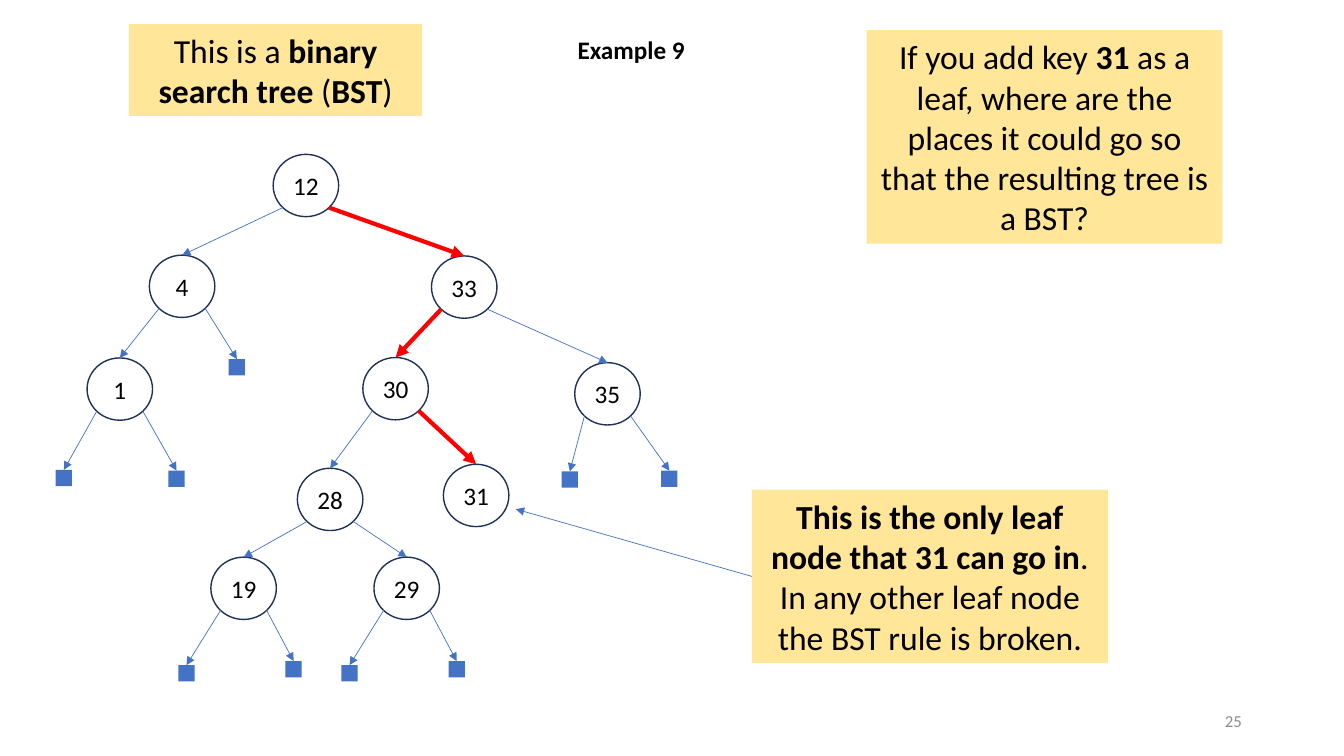
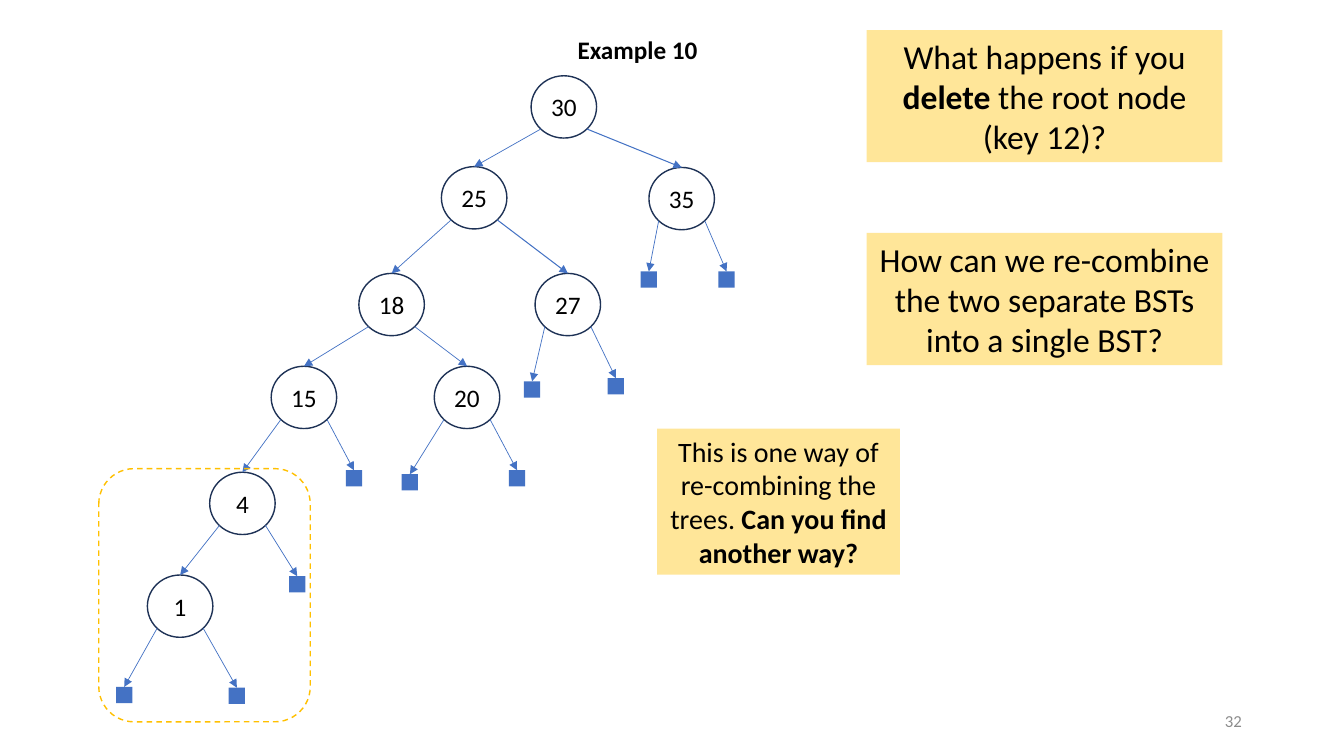
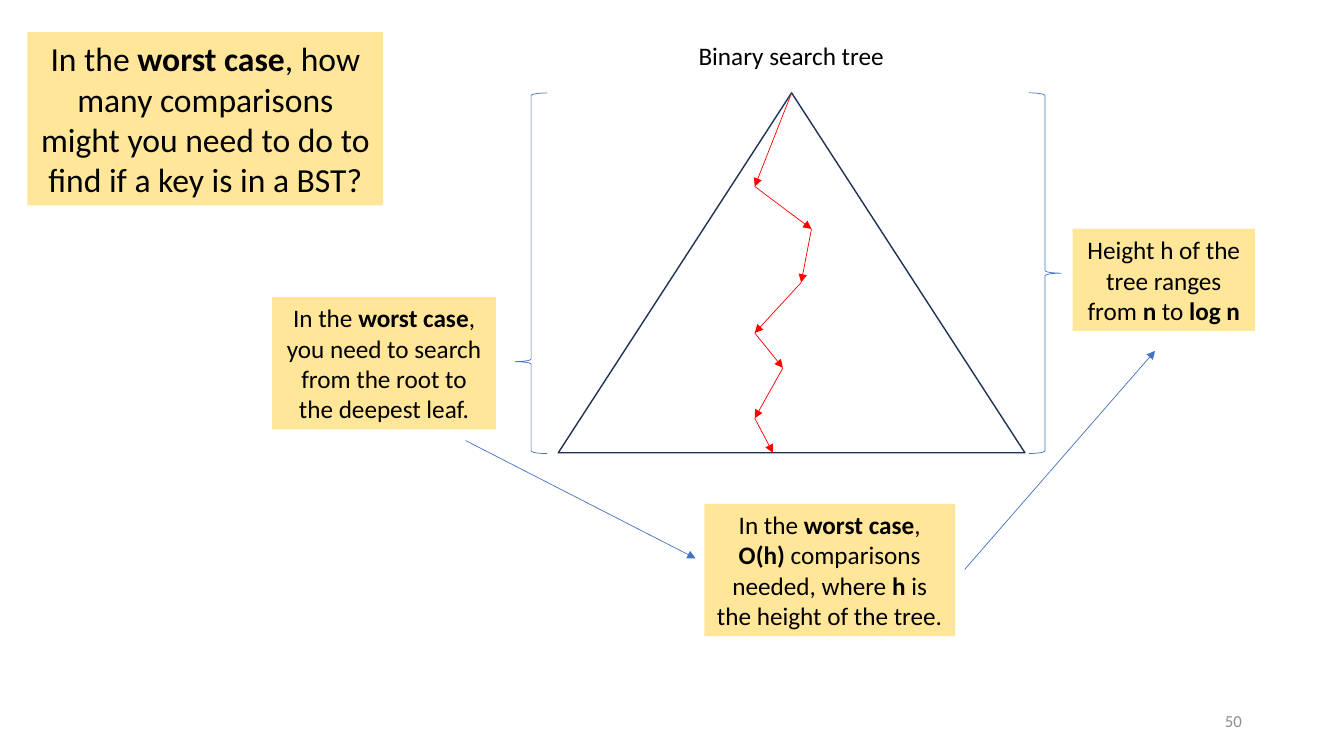
from dataclasses import dataclass
from itertools import pairwise
from typing import NamedTuple, Optional

from lxml.etree import SubElement
from pptx import Presentation
from pptx.dml.color import RGBColor
from pptx.enum.dml import MSO_LINE
from pptx.enum.shapes import MSO_CONNECTOR, MSO_SHAPE as Preset
from pptx.enum.text import MSO_ANCHOR as Anchor, MSO_AUTO_SIZE as AutoSize, PP_ALIGN as Align
from pptx.oxml.ns import qn
from pptx.util import Cm, Pt


@dataclass(frozen=True)
class Theme:
    """Colours, type sizes and measures shared by all slides."""

    font: str = "Calibri"
    ink: str = "000000"
    muted: str = "8C8C8C"
    note: str = "FFE699"
    outline: str = "1E3256"
    blue: str = "4472C4"
    red: str = "FF0000"
    amber: str = "FFC000"
    large: int = 24
    medium: int = 20
    normal: int = 18
    small: int = 12
    thin: float = 0.5
    firm: float = 0.75
    solid: float = 1
    thick: float = 3
    node_width: float = 1.65
    node_height: float = 1.57
    leaf_side: float = 0.41
    edge_dx: float = 0.58
    edge_dy: float = 1.34


THEME = Theme()
EDGES = {
    "plain": (THEME.blue, THEME.thin),
    "firm": (THEME.blue, THEME.firm),
    "route": (THEME.red, THEME.thick),
    "search": (THEME.red, THEME.thin),
}


class Box(NamedTuple):
    """A rectangle in centimetres."""

    left: float
    top: float
    width: float
    height: float

    def lengths(self):
        """Return the four measures as slide lengths."""
        return [Cm(value) for value in self]


@dataclass
class Node:
    """A tree node offset from its parent; one without a key is an empty leaf."""

    dx: float
    dy: float
    key: str = ""
    left: Optional["Node"] = None
    right: Optional["Node"] = None
    edge: str = "plain"


def write(frame, text, size=THEME.normal, color=THEME.ink, align=Align.CENTER,
          anchor=Anchor.MIDDLE, wrap=True, bold=False, inset=None):
    """Write one paragraph, where ** switches bold on and off."""
    frame.auto_size = AutoSize.NONE
    frame.word_wrap = wrap
    frame.vertical_anchor = anchor
    if inset is not None:
        frame.margin_left = frame.margin_right = Cm(inset)
        frame.margin_top = frame.margin_bottom = Cm(inset)
    para = frame.paragraphs[0]
    para.alignment = align
    for index, part in enumerate(text.split("**")):
        if part:
            span = para.add_run()
            span.text = part
            span.font.name = THEME.font
            span.font.size = Pt(size)
            span.font.bold = bold or index % 2 == 1
            span.font.color.rgb = RGBColor.from_string(color)


def add_preset(page, preset, box, fill=None, line=None, width=THEME.solid):
    """Add a preset shape with an optional fill and outline."""
    shape = page.shapes.add_shape(preset, *box.lengths())
    shape.shadow.inherit = False
    if fill:
        shape.fill.solid()
        shape.fill.fore_color.rgb = RGBColor.from_string(fill)
    else:
        shape.fill.background()
    if line:
        shape.line.color.rgb = RGBColor.from_string(line)
        shape.line.width = Pt(width)
    else:
        shape.line.fill.background()
    return shape


def add_arrow(page, start, end, edge="plain"):
    """Draw a straight arrow between two points."""
    arrow = page.shapes.add_connector(
        MSO_CONNECTOR.STRAIGHT, *[Cm(value) for value in (*start, *end)])
    color, width = EDGES[edge]
    arrow.line.color.rgb = RGBColor.from_string(color)
    arrow.line.width = Pt(width)
    properties = arrow.element.spPr
    SubElement(properties.find(qn("a:ln")), qn("a:tailEnd"), type="triangle")
    SubElement(properties, qn("a:effectLst"))
    return arrow


def add_note(page, box, text, size=THEME.large):
    """Add a yellow note with centred text."""
    note = add_preset(page, Preset.RECTANGLE, box, fill=THEME.note)
    write(note.text_frame, text, size=size)
    return note


def add_page(deck, title, box, number, bold=True):
    """Add a slide with its title and page number."""
    page = deck.slides.add_slide(deck.slide_layouts[5])
    heading = page.shapes.title
    heading.left, heading.top, heading.width, heading.height = box.lengths()
    write(heading.text_frame, title, align=Align.LEFT, anchor=Anchor.TOP, wrap=False, bold=bold)
    footer = page.shapes.add_textbox(*Box(23.93, 17.65, 7.62, 1.02).lengths())
    write(footer.text_frame, str(number), size=THEME.small, color=THEME.muted, align=Align.RIGHT)
    return page


def add_tree(page, node, x=0, y=0):
    """Draw a node and its subtrees, measured from the parent's top centre."""
    x, y = x + node.dx, y + node.dy
    if not node.key:
        side = THEME.leaf_side
        return add_preset(page, Preset.RECTANGLE, Box(x - side / 2, y, side, side), fill=THEME.blue)
    box = Box(x - THEME.node_width / 2, y, THEME.node_width, THEME.node_height)
    circle = add_preset(page, Preset.OVAL, box, line=THEME.outline)
    write(circle.text_frame, node.key, inset=0)
    for child, side in ((node.left, -1), (node.right, 1)):
        if child:
            target = add_tree(page, child, x, y)
            start = (x + side * THEME.edge_dx, y + THEME.edge_dy)
            arrow = add_arrow(page, start, (x + child.dx, y + child.dy), child.edge)
            arrow.end_connect(target, 0)
    return circle


def low_node(dx, dy, key, left=None):
    """Return a node with the usual pair of empty leaves, or a given left subtree."""
    return Node(dx, dy, key, left or Node(-1.44, 2.72), Node(1.26, 2.62))


def small_tree(dx, dy):
    """Return the subtree of keys 4 and 1."""
    one = Node(-1.57, 2.59, "1", Node(-1.41, 2.82), Node(1.43, 2.84))
    return Node(dx, dy, "4", one, Node(1.38, 2.62))


def add_search_path(page, box):
    """Draw the tree outline with a zigzag search from root to deepest leaf."""
    add_preset(page, Preset.ISOSCELES_TRIANGLE, box, line=THEME.outline)
    turns = [(box.width / 2, 0), (4.95, 2.36), (6.38, 3.43), (6.12, 4.78),
             (4.95, 6.05), (5.66, 6.93), (4.95, 8.2), (5.41, box.height)]
    points = [(box.left + x, box.top + y) for x, y in turns]
    for start, end in pairwise(points):
        add_arrow(page, start, end, "search")


def add_brace(page, box):
    """Add a thin brace that opens to the left."""
    return add_preset(page, Preset.RIGHT_BRACE, box, line=THEME.blue, width=THEME.thin)


def build_insert_page(deck):
    """Show where key 31 is added."""
    page = add_page(deck, "Example 9", Box(14.3, 0.74, 3.23, 1.02), 25)
    add_note(page, Box(3.25, 0.61, 7.39, 2.31), "This is a **binary search tree** (**BST**)")
    node_28 = Node(-1.65, 2.79, "28", low_node(-2.18, 2.24, "19"), low_node(1.93, 2.24, "29"))
    node_30 = Node(-1.73, 2.56, "30", node_28, Node(2.03, 2.69, "31", edge="route"), edge="route")
    node_35 = Node(3.61, 2.69, "35", Node(-0.95, 2.74), Node(1.56, 2.72))
    node_33 = Node(3.99, 2.56, "33", node_30, node_35, edge="route")
    add_tree(page, Node(7.71, 3.89, "12", small_tree(-3.12, 2.54), node_33))
    answer = add_note(page, Box(18.95, 12.34, 8.97, 4.37),
                      "**This is the only leaf node that 31 can go in**. "
                      "In any other leaf node the BST rule is broken.")
    add_arrow(page, (18.95, 14.53), (13, 12.83)).begin_connect(answer, 1)
    add_note(page, Box(21.84, 0.76, 8.97, 5.38),
             "If you add key **31** as a leaf, where are the places it could go "
             "so that the resulting tree is a BST?")


def build_delete_page(deck):
    """Show one way of joining two trees after the root is deleted."""
    page = add_page(deck, "Example 10", Box(14.3, 0.74, 3.56, 1.02), 32)
    add_note(page, Box(21.84, 0.76, 8.97, 3.33),
             "What happens if you **delete** the root node (key 12)?")
    add_note(page, Box(21.84, 5.87, 8.97, 3.33),
             "How can we re-combine the two separate BSTs into a single BST?")
    node_15 = low_node(-2.21, 2.34, "15", small_tree(-1.55, 2.67))
    node_18 = Node(-2.08, 2.69, "18", node_15, low_node(1.9, 2.34, "20"))
    node_27 = Node(2.36, 2.69, "27", Node(-0.9, 2.72), Node(1.21, 2.64), edge="firm")
    node_25 = Node(-2.26, 2.29, "25", node_18, node_27)
    node_35 = Node(2.97, 2.31, "35", Node(-0.83, 2.62), Node(1.13, 2.62), edge="firm")
    add_tree(page, Node(14.21, 1.91, "30", node_25, node_35))
    frame = add_preset(page, Preset.ROUNDED_RECTANGLE, Box(2.49, 11.81, 5.33, 6.38),
                       line=THEME.amber)
    frame.line.dash_style = MSO_LINE.DASH
    add_note(page, Box(16.56, 10.8, 6.12, 3.68),
             "This is one way of re-combining the trees. **Can you find another way?**",
             size=THEME.medium)


def build_worst_case_page(deck):
    """Explain the worst case of a search."""
    page = add_page(deck, "Binary search tree", Box(17.35, 0.89, 5.23, 1.02), 50, bold=False)
    add_note(page, Box(0.69, 0.81, 8.97, 4.37),
             "In the **worst case**, how many comparisons might you need to do "
             "to find if a key is in a BST?")
    add_search_path(page, Box(14.07, 2.34, 11.76, 9.07))
    add_brace(page, Box(25.93, 2.34, 0.81, 9.09))
    left_brace = add_brace(page, Box(12.98, 2.34, 0.81, 9.09))
    left_brace.rotation = 180
    left_brace.adjustments[1] = 0.255
    for box, text in (
        (Box(27.03, 5.77, 4.6, 2.57), "Height h of the tree ranges from **n** to **log n**"),
        (Box(6.86, 7.49, 5.64, 3.33),
         "In the **worst case**, you need to search from the root to the deepest leaf."),
        (Box(17.75, 12.7, 6.32, 3.33),
         "In the **worst case**, **O(h)** comparisons needed, "
         "where **h** is the height of the tree."),
    ):
        add_note(page, box, text, size=THEME.normal)
    add_arrow(page, (11.73, 11.1), (17.53, 14.07))
    add_arrow(page, (24.31, 14.35), (29.11, 8.84))


def main():
    """Build and save the deck."""
    deck = Presentation()
    deck.slide_width, deck.slide_height = Cm(33.87), Cm(19.05)
    build_insert_page(deck)
    build_delete_page(deck)
    build_worst_case_page(deck)
    deck.save("out.pptx")


if __name__ == "__main__":
    main()
